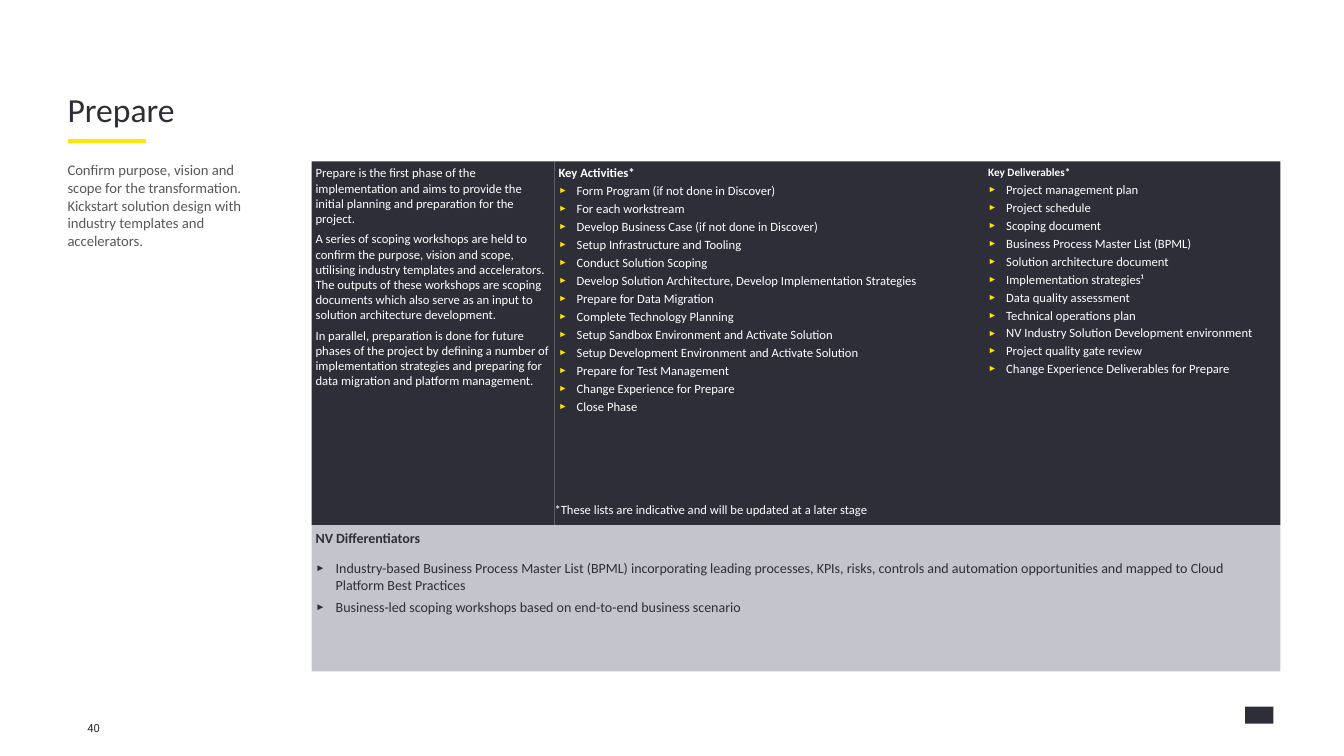
from lxml.etree import SubElement
from pptx import Presentation
from pptx.dml.color import RGBColor
from pptx.enum.shapes import MSO_CONNECTOR, MSO_SHAPE
from pptx.enum.text import MSO_ANCHOR, MSO_AUTO_SIZE, PP_ALIGN
from pptx.oxml.ns import qn
from pptx.util import Inches, Pt

DARK, YELLOW, WHITE, GREY, SILVER = "2E2E38", "FFE600", "FFFFFF", "595959", "C4C4CD"
FONT = "Calibri"

TITLE = "Prepare"
SUMMARY = [
    "Confirm purpose, vision and scope for the transformation. "
    "Kickstart solution design with industry templates and accelerators."
]
INTRODUCTION = [
    "Prepare is the first phase of the implementation and aims to provide the initial "
    "planning and preparation for the project.",
    "A series of scoping workshops are held to confirm the purpose, vision and scope, "
    "utilising industry templates and accelerators. The outputs of these workshops are "
    "scoping documents which also serve as an input to solution architecture development.",
    "In parallel, preparation is done for future phases of the project by defining a number "
    "of implementation strategies and preparing for data migration and platform management.",
]
ACTIVITIES = [
    "Form Program (if not done in Discover)",
    "For each workstream",
    "Develop Business Case (if not done in Discover)",
    "Setup Infrastructure and Tooling",
    "Conduct Solution Scoping",
    "Develop Solution Architecture, Develop Implementation Strategies",
    "Prepare for Data Migration",
    "Complete Technology Planning",
    "Setup Sandbox Environment and Activate Solution",
    "Setup Development Environment and Activate Solution",
    "Prepare for Test Management",
    "Change Experience for Prepare",
    "Close Phase",
]
DELIVERABLES = [
    "Project management plan",
    "Project schedule",
    "Scoping document",
    "Business Process Master List (BPML)",
    "Solution architecture document",
    "Implementation strategies¹",
    "Data quality assessment",
    "Technical operations plan",
    "NV Industry Solution Development environment",
    "Project quality gate review",
    "Change Experience Deliverables for Prepare",
]
FOOTNOTE = ["*These lists are indicative and will be updated at a later stage"]
DIFFERENTIATORS = [
    "Industry-based Business Process Master List (BPML) incorporating leading processes, KPIs, "
    "risks, controls and automation opportunities and mapped to Cloud Platform Best Practices",
    "Business-led scoping workshops based on end-to-end business scenario",
]

MARGIN = 0.67
PANEL_LEFT, PANEL_TOP, PANEL_HEIGHT, BAND_HEIGHT = 3.09, 1.6, 3.61, 1.45
COLUMN_WIDTHS = [2.41, 4.26, 2.94]
COLUMN_LEFTS = [PANEL_LEFT + sum(COLUMN_WIDTHS[:index]) for index in range(3)]
BAND_TOP = PANEL_TOP + PANEL_HEIGHT
INSET = (0.04, 0.04, 0.04, 0.04)


def color(value):
    return RGBColor.from_string(value)


def place(shape, area):
    for side, length in zip(("left", "top", "width", "height"), area):
        setattr(shape, side, Inches(length))


def paint(shape, value):
    shape.fill.solid()
    shape.fill.fore_color.rgb = color(value)


def block(area, value):
    shape = page.shapes.add_shape(MSO_SHAPE.RECTANGLE, *map(Inches, area))
    shape.shadow.inherit = False
    shape.line.fill.background()
    paint(shape, value)
    return shape


def text_box(area):
    return page.shapes.add_textbox(*map(Inches, area))


def set_frame(shape, inset=(0, 0, 0, 0), anchor=MSO_ANCHOR.TOP):
    frame = shape.text_frame
    settings = {"word_wrap": True, "auto_size": MSO_AUTO_SIZE.NONE, "vertical_anchor": anchor}
    for name, value in settings.items():
        setattr(frame, name, value)
    for side, length in zip(("left", "top", "right", "bottom"), inset):
        setattr(frame, "margin_" + side, Inches(length))


def set_bullet(para, indent, bullet_color):
    properties = para._p.get_or_add_pPr()
    properties.set("marL", str(Inches(indent)))
    properties.set("indent", str(-Inches(indent)))
    if not indent:
        SubElement(properties, qn("a:buNone"))
        return
    tint = SubElement(properties, qn("a:buClr"))
    SubElement(tint, qn("a:srgbClr"), val=bullet_color)
    SubElement(properties, qn("a:buSzPct"), val="70000")
    SubElement(properties, qn("a:buFont"), typeface="Arial")
    SubElement(properties, qn("a:buChar"), char="►")


def write(shape, lines, size, text_color, bold=False, font=FONT, indent=0, bullet_color=DARK,
          before=0, after=0, spacing=1.0, align=PP_ALIGN.LEFT):
    frame = shape.text_frame
    for line in lines:
        first = not frame.text
        para = frame.paragraphs[0] if first else frame.add_paragraph()
        set_bullet(para, indent, bullet_color)
        layout = {
            "alignment": align,
            "line_spacing": spacing,
            "space_before": Pt(0 if first else before),
            "space_after": Pt(after),
        }
        for name, value in layout.items():
            setattr(para, name, value)
        span = para.add_run()
        span.text = line
        for name, value in {"size": Pt(size), "name": font, "bold": bold}.items():
            setattr(span.font, name, value)
        span.font.color.rgb = color(text_color)


deck = Presentation()
deck.slide_width, deck.slide_height = Inches(13.33), Inches(7.5)
page = deck.slides.add_slide(deck.slide_layouts[3])
title, activities, deliverables = page.placeholders

place(title, (MARGIN, 0.71, 12, 0.57))
set_frame(title, anchor=MSO_ANCHOR.BOTTOM)
write(title, [TITLE], 24, DARK, after=5)

rule = page.shapes.add_connector(
    MSO_CONNECTOR.STRAIGHT, *map(Inches, (MARGIN, 1.4, 1.45, 1.4)))
rule.line.color.rgb = color(YELLOW)
rule.line.width = Pt(3)
SubElement(rule._element.spPr, qn("a:effectLst"))

summary = text_box((MARGIN, PANEL_TOP, 1.8, 0.88))
set_frame(summary)
write(summary, SUMMARY, 10.5, GREY)

introduction = block((COLUMN_LEFTS[0], PANEL_TOP, COLUMN_WIDTHS[0], PANEL_HEIGHT), DARK)
set_frame(introduction, INSET)
write(introduction, INTRODUCTION, 9, WHITE, before=1.8, after=2)

lists = [
    (activities, "Key Activities*", 9, ACTIVITIES),
    (deliverables, "Key Deliverables*", 8, DELIVERABLES),
]
for (holder, heading, size, items), left, width in zip(lists, COLUMN_LEFTS[1:], COLUMN_WIDTHS[1:]):
    place(holder, (left, PANEL_TOP, width, PANEL_HEIGHT))
    paint(holder, DARK)
    set_frame(holder, INSET)
    write(holder, [heading], size, WHITE, bold=True, after=2)
    write(holder, items, 9, WHITE, indent=0.18, bullet_color=YELLOW, after=2)

footnote = text_box((COLUMN_LEFTS[1], 4.96, COLUMN_WIDTHS[1], 0.17))
set_frame(footnote, (0, 0.04, 0, 0))
write(footnote, FOOTNOTE, 9, WHITE, spacing=0.85, after=6)

block((PANEL_LEFT, BAND_TOP, sum(COLUMN_WIDTHS), BAND_HEIGHT), SILVER)
band_heading = text_box((PANEL_LEFT, BAND_TOP, 2.66, 0.25))
set_frame(band_heading, INSET)
write(band_heading, ["NV Differentiators"], 10, DARK, bold=True)
differentiators = text_box((PANEL_LEFT, BAND_TOP + 0.3, 9.54, 0.64))
set_frame(differentiators, INSET)
write(differentiators, DIFFERENTIATORS, 10, DARK, indent=0.2, after=4)

page_number = text_box((0.83, 7.11, 0.2, 0.19))
set_frame(page_number, (0, 0.05, 0, 0.05))
write(page_number, ["40"], 8, DARK, font="Roboto", align=PP_ALIGN.CENTER)
block((12.35, 7.01, 0.28, 0.17), DARK)

deck.save("out.pptx")
